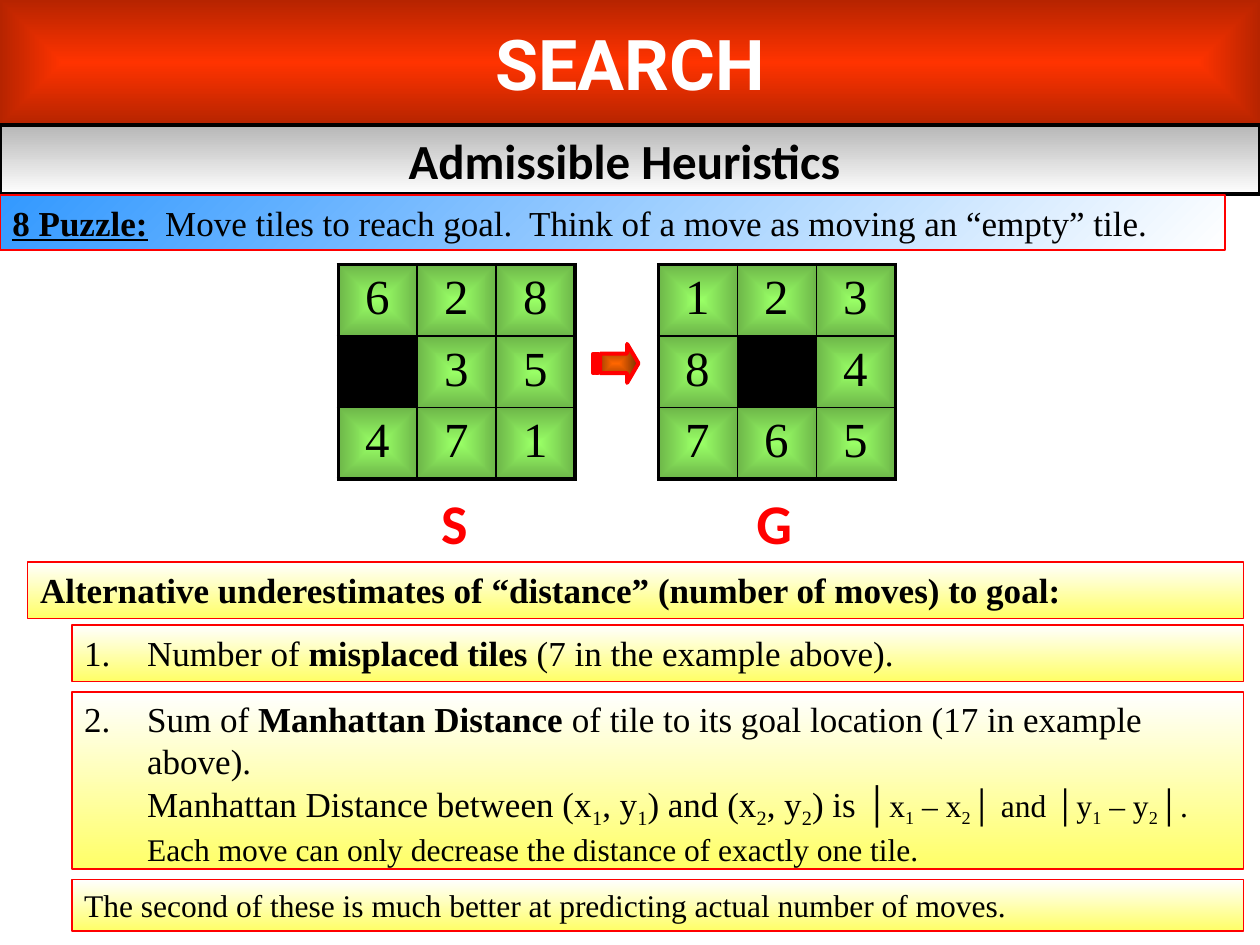
from lxml import etree
from pptx import Presentation
from pptx.dml.color import RGBColor
from pptx.enum.shapes import MSO_SHAPE
from pptx.enum.text import MSO_ANCHOR, MSO_AUTO_SIZE, PP_ALIGN
from pptx.oxml.ns import qn
from pptx.util import Pt

RECTANGLE = MSO_SHAPE.RECTANGLE
TOP, MIDDLE = MSO_ANCHOR.TOP, MSO_ANCHOR.MIDDLE
LEFT, CENTER = PP_ALIGN.LEFT, PP_ALIGN.CENTER
GROW = MSO_AUTO_SIZE.SHAPE_TO_FIT_TEXT
COLORS = {
    "black": "000000", "white": "FFFFFF", "red": "FF0000",
    "banner": "FF3300", "banner_edge": "B62400", "gray": "B6B6B6",
    "yellow": "FFFF66", "blue": "3399FF",
    "tile": "99FF66", "tile_edge": "6DB649",
    "arrow": "FF6600", "arrow_edge": "762F00",
}
SERIF, SANS, DISPLAY = "Times New Roman", "Calibri", "Roboto"
START = ["628", " 35", "471"]
GOAL = ["123", "8 4", "765"]
COLUMN, ROW = 45.1, 40.8
OUTER, INNER = 2.25, 1
INDENT = 36


def rgb(name):
    """Return a named colour."""
    return RGBColor.from_string(COLORS[name])


def fill_gradient(fill, element, first, last, angle=None, path="shape"):
    """Fill linearly at a clockwise angle, or from the centre without one."""
    fill.gradient()
    for stop, name in zip(fill.gradient_stops, (first, last)):
        stop.color.rgb = rgb(name)
    if angle is not None:
        fill.gradient_angle = 360 - angle
        return
    gradient = element.find(".//" + qn("a:gradFill"))
    gradient.remove(gradient.find(qn("a:lin")))
    center = etree.SubElement(gradient, qn("a:path"), path=path)
    etree.SubElement(center, qn("a:fillToRect"), l="50000", t="50000", r="50000", b="50000")


def style_font(font, name, size, color="black", bold=None):
    """Set the face, size, colour and weight of a font."""
    font.name, font.size, font.bold = name, Pt(size), bold
    font.color.rgb = rgb(color)


def add_runs(paragraph, runs, size=20):
    """Add (text, flags) runs; flags are b bold, u underline, s subscript."""
    style_font(paragraph.font, SERIF, size)
    for text, flags, *run_size in runs:
        run = paragraph.add_run()
        run.text = text
        style_font(run.font, SERIF, run_size[0] if run_size else size, bold="b" in flags)
        run.font.underline = "u" in flags
        if "s" in flags:
            run.font._element.set("baseline", "-25000")


def subscripted(text, size):
    """Split text at bars into runs, with every second one a subscript."""
    return [(part, "s" if index % 2 else "", size)
            for index, part in enumerate(text.split("|"))]


def indent(paragraph, number=None):
    """Indent a paragraph, with a hanging number if one is given."""
    properties = paragraph._p.get_or_add_pPr()
    properties.set("marL", str(Pt(INDENT)))
    properties.set("indent", str(Pt(-INDENT if number else 0)))
    if number:
        bullet = etree.SubElement(properties, qn("a:buAutoNum"), type="arabicPeriod")
        bullet.set("startAt", str(number))
        properties.insert(0, bullet)


def add_panel(slide, box, gradient, angle=90, line="red", width=1):
    """Add an outlined rectangle with a linear gradient."""
    shape = slide.shapes.add_shape(RECTANGLE, *map(Pt, box))
    shape.shadow.inherit = False
    fill_gradient(shape.fill, shape._element, *gradient, angle)
    shape.line.color.rgb = rgb(line)
    shape.line.width = Pt(width)
    frame = shape.text_frame
    frame.word_wrap = True
    frame.vertical_anchor = TOP
    frame.paragraphs[0].alignment = LEFT
    return frame


def add_note(slide, box, runs, size=20, number=None, gradient=("white", "yellow"),
             angle=90, width=1):
    """Add a panel that grows with its text."""
    frame = add_panel(slide, box, gradient, angle, width=width)
    frame.auto_size = GROW
    paragraph = frame.paragraphs[0]
    add_runs(paragraph, runs, size)
    if number:
        indent(paragraph, number)
    return frame


def add_note_line(frame, runs, size):
    """Add an indented line below the first one of a note."""
    paragraph = frame.add_paragraph()
    paragraph.alignment = LEFT
    add_runs(paragraph, runs, size)
    indent(paragraph)


def set_borders(cell, row, column):
    """Draw thick borders around the puzzle and thin ones inside it."""
    properties = cell._tc.get_or_add_tcPr()
    outside = {"L": column == 0, "R": column == 2, "T": row == 0, "B": row == 2}
    for index, (side, is_outer) in enumerate(outside.items()):
        line = etree.Element(qn(f"a:ln{side}"), w=str(Pt(OUTER if is_outer else INNER)))
        solid = etree.SubElement(line, qn("a:solidFill"))
        etree.SubElement(solid, qn("a:srgbClr"), val=COLORS["black"])
        properties.insert(index, line)


def add_puzzle(slide, left, top, tiles):
    """Add a 3 by 3 puzzle whose empty place is a space."""
    frame = slide.shapes.add_table(3, 3, Pt(left), Pt(top), Pt(3 * COLUMN), Pt(3 * ROW))
    table = frame.table
    table.first_row = table.horz_banding = False
    for row, digits in enumerate(tiles):
        table.rows[row].height = Pt(ROW)
        table.columns[row].width = Pt(COLUMN)
        for column, digit in enumerate(digits):
            cell = table.cell(row, column)
            if digit == " ":
                cell.fill.solid()
                cell.fill.fore_color.rgb = rgb("black")
            else:
                cell.text = digit
                paragraph = cell.text_frame.paragraphs[0]
                paragraph.alignment = CENTER
                style_font(paragraph.font, SERIF, 28)
                fill_gradient(cell.fill, cell._tc, "tile", "tile_edge")
            set_borders(cell, row, column)


def add_arrow(slide, left, top):
    """Add a striped arrow pointing right."""
    head = [(19.4, 0), (19.4, 5.6), (4, 5.6), (4, 16.7), (19.4, 16.7), (19.4, 22.3), (25.9, 11.1)]
    stripes = [[(x, 5.6), (x, 16.7), (x + width, 16.7), (x + width, 5.6)]
               for x, width in ((1.4, 1.4), (0, 0.7))]
    builder = None
    for outline in [head, *stripes]:
        points = [(Pt(left + x), Pt(top + y)) for x, y in outline]
        if builder is None:
            builder = slide.shapes.build_freeform(*points[0], scale=1.0)
        else:
            builder.move_to(*points[0])
        builder.add_line_segments(points[1:], close=True)
    shape = builder.convert_to_shape()
    shape.shadow.inherit = False
    fill_gradient(shape.fill, shape._element, "arrow", "arrow_edge", path="rect")
    shape.line.color.rgb = rgb("red")
    shape.line.width = Pt(2.25)


def add_label(slide, box, text):
    """Add the letter below a puzzle."""
    frame = slide.shapes.add_textbox(*map(Pt, box)).text_frame
    frame.word_wrap = False
    frame.auto_size = GROW
    paragraph = frame.paragraphs[0]
    paragraph.text = text
    paragraph.alignment = CENTER
    style_font(paragraph.font, SANS, 32, "red", True)


def add_headings(slide):
    """Format the title banner and add the topic bar."""
    title = slide.shapes.title
    title.left, title.top, title.width, title.height = map(Pt, (0, 0, 720, 71.3))
    fill_gradient(title.fill, title._element, "banner", "banner_edge")
    title.text_frame.vertical_anchor = MIDDLE
    topic = add_panel(slide, (0, 71.3, 720, 39.8), ("gray", "white"), line="black", width=2.25)
    topic.vertical_anchor = MIDDLE
    for frame, text, font in ((title.text_frame, "SEARCH", (DISPLAY, 40, "white", True)),
                              (topic, "Admissible Heuristics ", (SANS, 28, "black", True))):
        paragraph = frame.paragraphs[0]
        paragraph.text = text
        paragraph.alignment = CENTER
        style_font(paragraph.font, *font)


def main():
    """Build the slide and save it."""
    presentation = Presentation()
    presentation.slide_width, presentation.slide_height = Pt(720), Pt(540)
    slide = presentation.slides.add_slide(presentation.slide_layouts[5])
    add_headings(slide)
    add_note(slide, (15.8, 321.1, 694.8, 32.4),
             [("Alternative underestimates of “distance” (number of moves) to goal:", "b")])
    add_note(slide, (0, 111.4, 700, 31.5),
             [("8 Puzzle:", "bu"),
              ("  Move tiles to reach goal.  Think of a move as moving an “empty” tile.", "")],
             gradient=("blue", "white"), angle=45, width=0.75)
    add_puzzle(slide, 193.3, 151.2, START)
    add_puzzle(slide, 376.3, 151.2, GOAL)
    add_arrow(slide, 339, 196.5)
    add_label(slide, (244.8, 275.8, 29.5, 46), "S")
    add_label(slide, (424.8, 275.8, 35.3, 46), "G")
    add_note(slide, (41, 357.1, 669.6, 32.4),
             [("Number of ", ""), ("misplaced tiles", "b"), (" (7 in the example above).", "")],
             number=1)
    distance = add_note(slide, (41, 395.3, 669.6, 101.5),
                        [("Sum of ", ""), ("Manhattan Distance", "b"),
                         (" of tile to its goal location (17 in example above).", "")], number=2)
    add_note_line(distance,
                  subscripted("Manhattan Distance between (x|1|, y|1|) and (x|2|, y|2|) is │", 20)
                  + subscripted("x|1| – x|2|│ and │y|1| – y|2|│.", 18), 18)
    add_note_line(distance,
                  [("Each move can only decrease the distance of exactly one tile.", "")], 18)
    add_note(slide, (41, 502.6, 669.6, 29.5),
             [("The second of these is much better at predicting actual number of moves.", "")],
             size=18)
    presentation.save("out.pptx")


if __name__ == "__main__":
    main()
